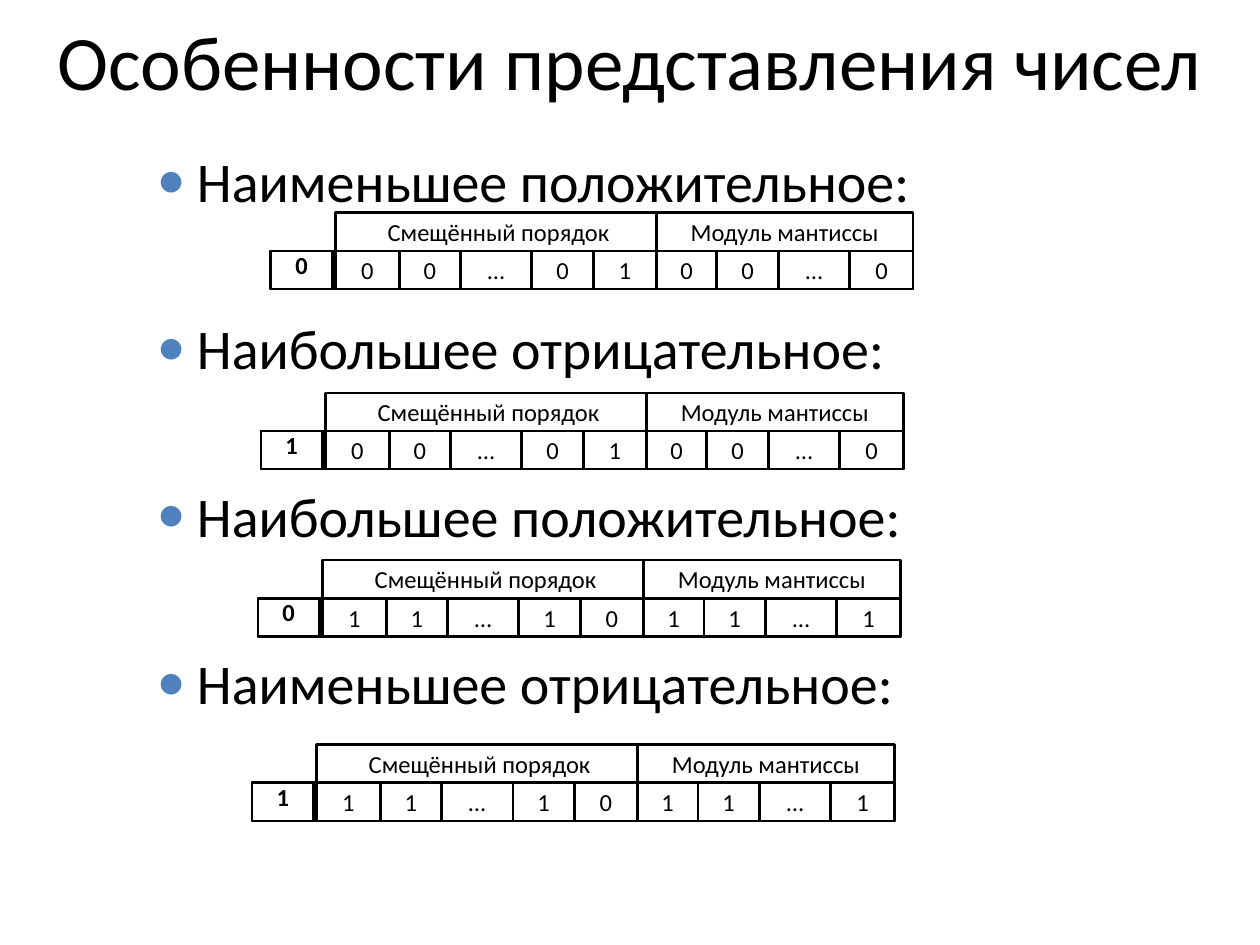
from dataclasses import dataclass
from itertools import accumulate

from lxml.etree import SubElement
from pptx import Presentation
from pptx.dml.color import RGBColor
from pptx.enum.shapes import MSO_SHAPE as Preset
from pptx.enum.text import MSO_ANCHOR as Anchor, PP_ALIGN as Align
from pptx.oxml.ns import qn
from pptx.util import Cm, Pt


@dataclass(frozen=True)
class Theme:
    font: str = "Calibri"
    ink: str = "000000"
    bullet: str = "4F81BD"
    title_size: float = 44
    body_size: float = 32
    cell_size: float = 14
    border: float = 1.5


def write_text(paragraph, text, *, font, size, color, bold=False,
               align=Align.LEFT, line_spacing=None, space_before=0):
    paragraph.alignment = align
    paragraph.line_spacing = line_spacing
    paragraph.space_before = Pt(space_before)
    run = paragraph.add_run()
    run.text = text
    run.font.name = font
    run.font.size = Pt(size)
    run.font.bold = bold
    run.font.color.rgb = RGBColor.from_string(color)


class SlideBuilder:
    def __init__(self, slide, theme):
        self.slide = slide
        self.theme = theme

    def text_frame(self, left, top, width, height):
        box = self.slide.shapes.add_textbox(Cm(left), Cm(top), Cm(width), Cm(height))
        box.text_frame.word_wrap = True
        return box.text_frame

    def title(self, text, *bounds):
        frame = self.text_frame(*bounds)
        write_text(frame.paragraphs[0], text, font=self.theme.font, color=self.theme.ink,
                   size=self.theme.title_size, align=Align.CENTER)

    def bullets(self, items, *bounds):
        frame = self.text_frame(*bounds)
        for index, item in enumerate(items):
            paragraph = frame.add_paragraph() if index else frame.paragraphs[0]
            write_text(paragraph, item, font=self.theme.font, color=self.theme.ink,
                       size=self.theme.body_size, line_spacing=1.1,
                       space_before=53.3 if index else 6)
            self.add_bullet(paragraph)

    def add_bullet(self, paragraph):
        properties = paragraph._p.get_or_add_pPr()
        properties.set("marL", str(Cm(1.02)))
        properties.set("indent", str(Cm(-0.79)))
        color = SubElement(properties, qn("a:buClr"))
        SubElement(color, qn("a:srgbClr"), val=self.theme.bullet)
        SubElement(properties, qn("a:buSzPct"), val="80000")
        SubElement(properties, qn("a:buFont"), typeface=self.theme.font)
        SubElement(properties, qn("a:buChar"), char="●")

    def cell(self, left, top, width, text="", **text_format):
        shape = self.slide.shapes.add_shape(
            Preset.RECTANGLE, Cm(left), Cm(top), Cm(width), Cm(ROW_HEIGHT))
        shape.shadow.inherit = False
        shape.fill.background()
        shape.line.color.rgb = RGBColor.from_string(self.theme.ink)
        shape.line.width = Pt(self.theme.border)
        if text:
            frame = shape.text_frame
            frame.word_wrap = False
            frame.vertical_anchor = Anchor.MIDDLE
            write_text(frame.paragraphs[0], text, font=self.theme.font,
                       size=self.theme.cell_size, color=self.theme.ink,
                       align=Align.CENTER, **text_format)

    def number_layout(self, left, top, sign, digits):
        self.cell(left, top, SIGN_STEP + sum(DIGIT_WIDTHS))
        self.cell(left, top, SIGN_WIDTH, sign, bold=True, line_spacing=0.5)
        starts = list(accumulate(DIGIT_WIDTHS, initial=left + SIGN_STEP))
        for start, width, digit in zip(starts, DIGIT_WIDTHS, digits):
            self.cell(start, top, width, digit)
        mantissa = starts[EXPONENT_CELLS]
        header_top = top - ROW_HEIGHT
        self.cell(starts[0], header_top, mantissa - starts[0], " Смещённый порядок")
        self.cell(mantissa, header_top, starts[-1] - mantissa, "Модуль мантиссы")


ROW_HEIGHT = 0.77
SIGN_WIDTH = 1.24
SIGN_STEP = 1.3
DIGIT_WIDTHS = (1.29, 1.23, 1.44, 1.24, 1.27, 1.22, 1.24, 1.44, 1.28)
EXPONENT_CELLS = 5
SMALLEST = "00…0100…0"
LARGEST = "11…1011…1"

NUMBERS = (
    ("Наименьшее положительное:", 5.46, 5.06, "0", SMALLEST),
    ("Наибольшее отрицательное:", 5.26, 8.69, "1", SMALLEST),
    ("Наибольшее положительное:", 5.2, 12.06, "0", LARGEST),
    ("Наименьшее отрицательное:", 5.08, 15.78, "1", LARGEST),
)

presentation = Presentation()
presentation.slide_width = Cm(25.4)
presentation.slide_height = Cm(19.05)
slide = presentation.slides.add_slide(presentation.slide_layouts[6])

builder = SlideBuilder(slide, Theme())
builder.title("Особенности представления чисел", 0.7, 0.15, 24, 3.18)
builder.bullets([number[0] for number in NUMBERS], 2.7, 2.7, 23.3, 15.3)
for _, *layout in NUMBERS:
    builder.number_layout(*layout)

presentation.save("out.pptx")
